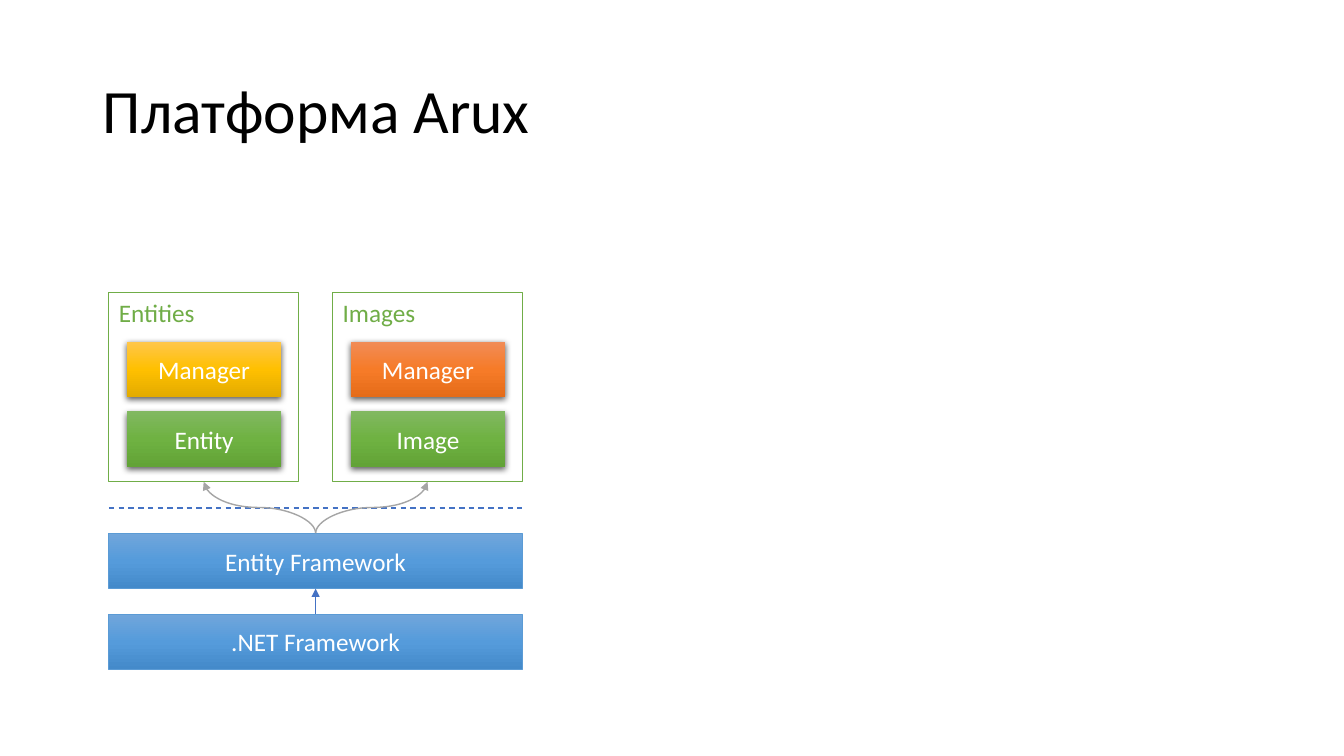
from lxml import etree
from pptx import Presentation
from pptx.dml.color import RGBColor
from pptx.enum.dml import MSO_LINE
from pptx.enum.shapes import MSO_CONNECTOR as Connector, MSO_SHAPE as Preset
from pptx.enum.text import MSO_ANCHOR as Anchor, PP_ALIGN as Align
from pptx.oxml.ns import qn
from pptx.util import Inches, Pt

BLACK = RGBColor(0x00, 0x00, 0x00)
WHITE = RGBColor(0xFF, 0xFF, 0xFF)
GREEN = RGBColor(0x70, 0xAD, 0x47)
GRAY = RGBColor(0xA5, 0xA5, 0xA5)
ARROW_BLUE = RGBColor(0x44, 0x72, 0xC4)
EDGE_BLUE = RGBColor(0x5B, 0x9B, 0xD5)


def shades(*codes):
    """Return the top, middle and bottom colours of a gradient."""
    return [RGBColor.from_string(code) for code in codes]


BLUE_SHADES = shades("71A6DB", "559BDB", "448ACA")
GREEN_SHADES = shades("81B861", "6FB242", "62A336")
GOLD_SHADES = shades("FFC64B", "FFC000", "E3AB00")
ORANGE_SHADES = shades("F18C57", "F67B28", "E56C19")


def add_node(parent, tag, **attributes):
    """Append a drawing element and return it."""
    node = etree.SubElement(parent, qn(tag))
    for name, value in attributes.items():
        node.set(name, str(value))
    return node


class DiagramSlide:
    """Holds the text style and the current slide."""

    font = "Calibri"
    body_size = 18

    def __init__(self, deck):
        """Add a title-only slide to the deck."""
        self.slide = deck.slides.add_slide(deck.slide_layouts[5])
        self.shapes = self.slide.shapes

    def set_text(self, shape, text, size, color, align, anchor):
        """Put one styled paragraph into a shape."""
        frame = shape.text_frame
        frame.text = text
        frame.word_wrap = True
        frame.vertical_anchor = anchor
        para = frame.paragraphs[0]
        para.alignment = align
        span = para.runs[0]
        span.font.name = self.font
        span.font.size = Pt(size)
        span.font.color.rgb = color
        return para

    def title(self, text, left, top, width, height):
        """Place and style the title placeholder."""
        title = self.shapes.title
        title.left, title.top = Inches(left), Inches(top)
        title.width, title.height = Inches(width), Inches(height)
        para = self.set_text(title, text, 44, BLACK, Align.LEFT, Anchor.MIDDLE)
        para.line_spacing = 0.9

    def rectangle(self, left, top, width, height, edge=None, weight=0.5):
        """Add a flat rectangle with an optional outline."""
        box = self.shapes.add_shape(
            Preset.RECTANGLE, Inches(left), Inches(top), Inches(width), Inches(height))
        box.shadow.inherit = False
        if edge is None:
            box.line.fill.background()
        else:
            box.line.color.rgb = edge
            box.line.width = Pt(weight)
        return box

    def frame(self, text, left, top, side):
        """Add a hollow green square labelled at its top left."""
        box = self.rectangle(left, top, side, side, GREEN, 0.75)
        box.fill.background()
        self.set_text(box, text, self.body_size, GREEN, Align.LEFT, Anchor.TOP)

    def block(self, text, left, top, width, height, colors, edge=None):
        """Add a gradient block; one without an outline casts a shadow."""
        box = self.rectangle(left, top, width, height, edge)
        box.fill.gradient()
        box.fill.gradient_angle = 270
        stops = box._element.spPr.find(qn("a:gradFill")).find(qn("a:gsLst"))
        for stop in list(stops):
            stops.remove(stop)
        for index, color in enumerate(colors):
            stop = add_node(stops, "a:gs", pos=index * 50000)
            add_node(stop, "a:srgbClr", val=color)
        if edge is None:
            self.cast_shadow(box)
        self.set_text(box, text, self.body_size, WHITE, Align.CENTER, Anchor.MIDDLE)

    def cast_shadow(self, box):
        """Give a box a soft shadow below it."""
        effects = box._element.spPr.find(qn("a:effectLst"))
        shadow = add_node(effects, "a:outerShdw", blurRad=int(Pt(4.5)), dist=int(Pt(1.5)),
                          dir=5400000, algn="ctr", rotWithShape=0)
        color = add_node(shadow, "a:srgbClr", val=BLACK)
        add_node(color, "a:alpha", val=63000)

    def line(self, start, end, color, weight, kind=Connector.STRAIGHT,
             dash=None, arrow=False):
        """Add a connector between two points."""
        link = self.shapes.add_connector(kind, *map(Inches, start + end))
        link.line.color.rgb = color
        link.line.width = Pt(weight)
        if dash is not None:
            link.line.dash_style = dash
        if arrow:
            add_node(link._element.spPr.find(qn("a:ln")), "a:tailEnd", type="triangle")
        add_node(link._element.spPr, "a:effectLst")
        return link

    def rising_curve(self, start, end, color, weight):
        """Add a curved arrow that leaves upwards and arrives upwards."""
        link = self.line(start, end, color, weight, Connector.CURVE, arrow=True)
        run, rise = abs(end[0] - start[0]), start[1] - end[1]
        to_right = end[0] > start[0]
        link.left = Inches((start[0] + end[0] - rise) / 2)
        link.top = Inches((start[1] + end[1] - run) / 2)
        link.width, link.height = Inches(rise), Inches(run)
        turn = link._element.spPr.find(qn("a:xfrm"))
        turn.set("rot", str((90 if to_right else 270) * 60000))
        turn.set("flipH", "1" if to_right else "0")
        turn.set("flipV", "1")


LEFT, WIDTH, BLOCK_HEIGHT = 1.08, 4.1, 0.55
RIGHT, CENTER = LEFT + WIDTH, LEFT + WIDTH / 2
FRAME_TOP, FRAME_SIDE = 2.9, 1.88
FRAME_BOTTOM = FRAME_TOP + FRAME_SIDE
DIVIDER_TOP, ENTITY_TOP, NET_TOP = 5.04, 5.29, 6.09
INNER_WIDTH, INNER_INDENT = 1.53, 0.18
MANAGER_TOP, MODEL_TOP = 3.39, 4.08

deck = Presentation()
deck.slide_width, deck.slide_height = Inches(13.33), Inches(7.5)
page = DiagramSlide(deck)
page.title("Платформа Arux", 0.92, 0.4, 11.5, 1.45)

for label, top in ((".NET Framework", NET_TOP), ("Entity Framework", ENTITY_TOP)):
    page.block(label, LEFT, top, WIDTH, BLOCK_HEIGHT, BLUE_SHADES, EDGE_BLUE)
page.line((LEFT, DIVIDER_TOP), (RIGHT, DIVIDER_TOP), ARROW_BLUE, 1, dash=MSO_LINE.DASH)

groups = (
    ("Entities", "Entity", GOLD_SHADES, LEFT),
    ("Images", "Image", ORANGE_SHADES, RIGHT - FRAME_SIDE),
)
for heading, model, manager_shades, left in groups:
    page.frame(heading, left, FRAME_TOP, FRAME_SIDE)
    for label, top, colors in ((model, MODEL_TOP, GREEN_SHADES),
                               ("Manager", MANAGER_TOP, manager_shades)):
        page.block(label, left + INNER_INDENT, top, INNER_WIDTH, BLOCK_HEIGHT, colors)

for *_, left in groups:
    page.rising_curve((CENTER, ENTITY_TOP), (left + FRAME_SIDE / 2, FRAME_BOTTOM), GRAY, 1)
page.line((CENTER, NET_TOP), (CENTER, ENTITY_TOP + BLOCK_HEIGHT), ARROW_BLUE, 0.5, arrow=True)

deck.save("out.pptx")
